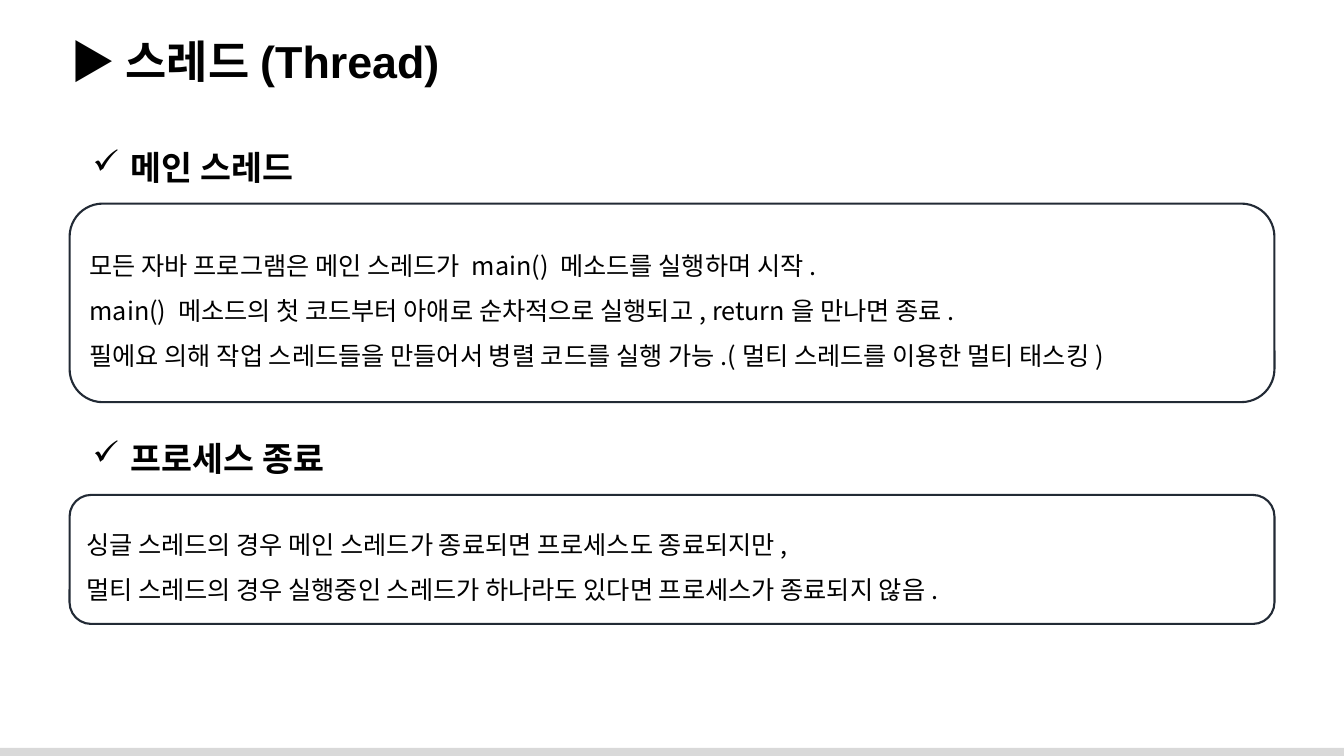
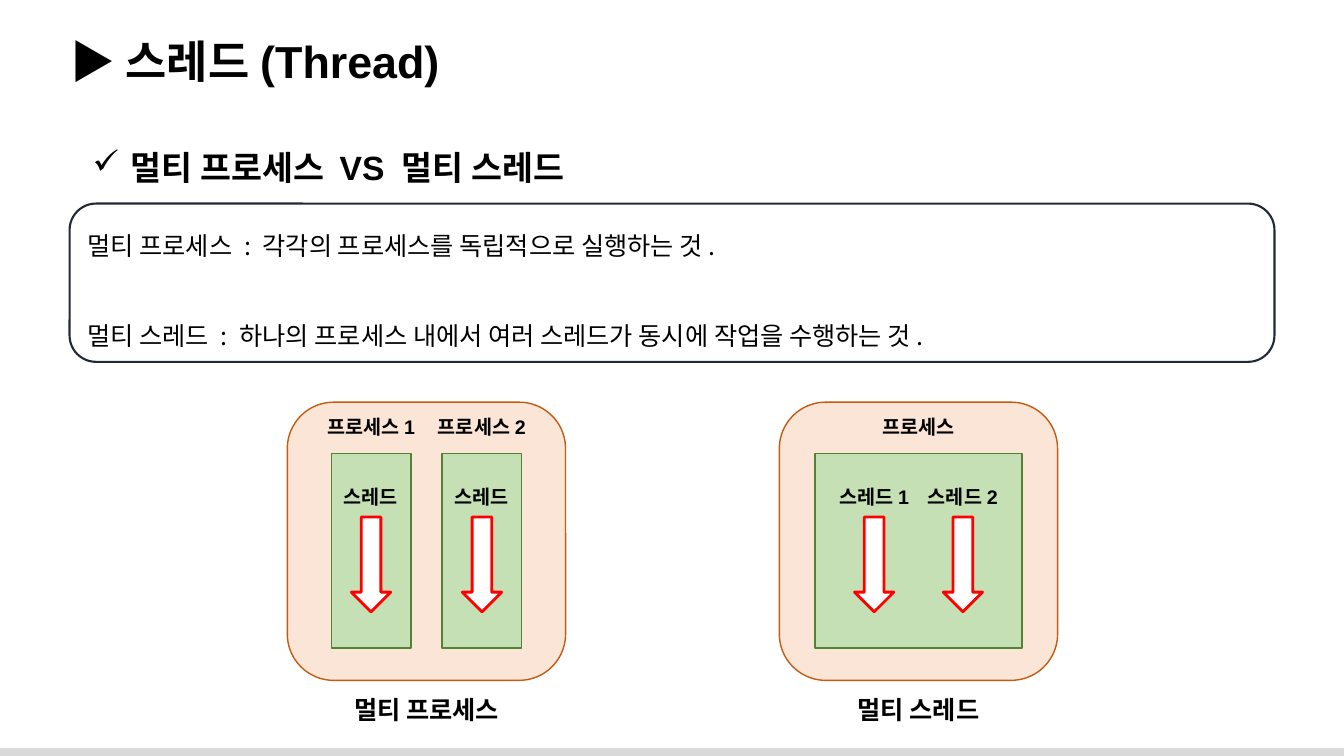
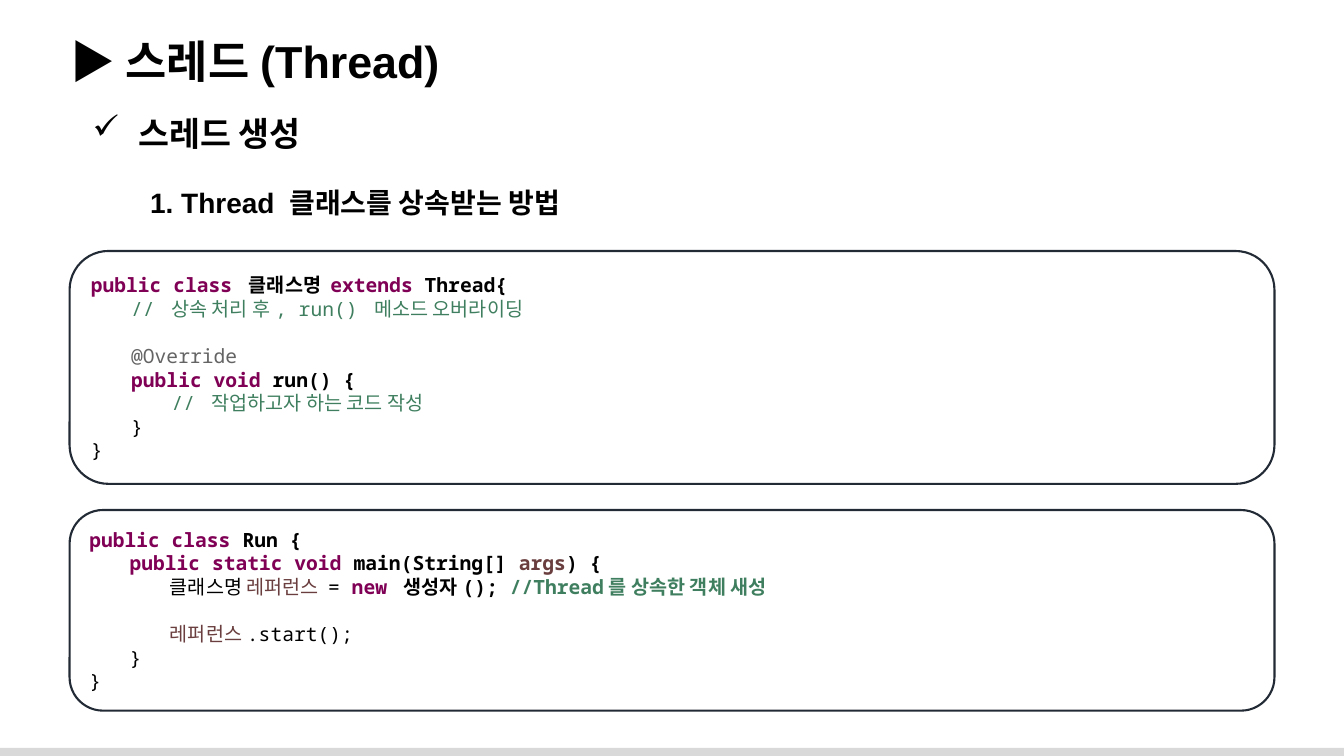
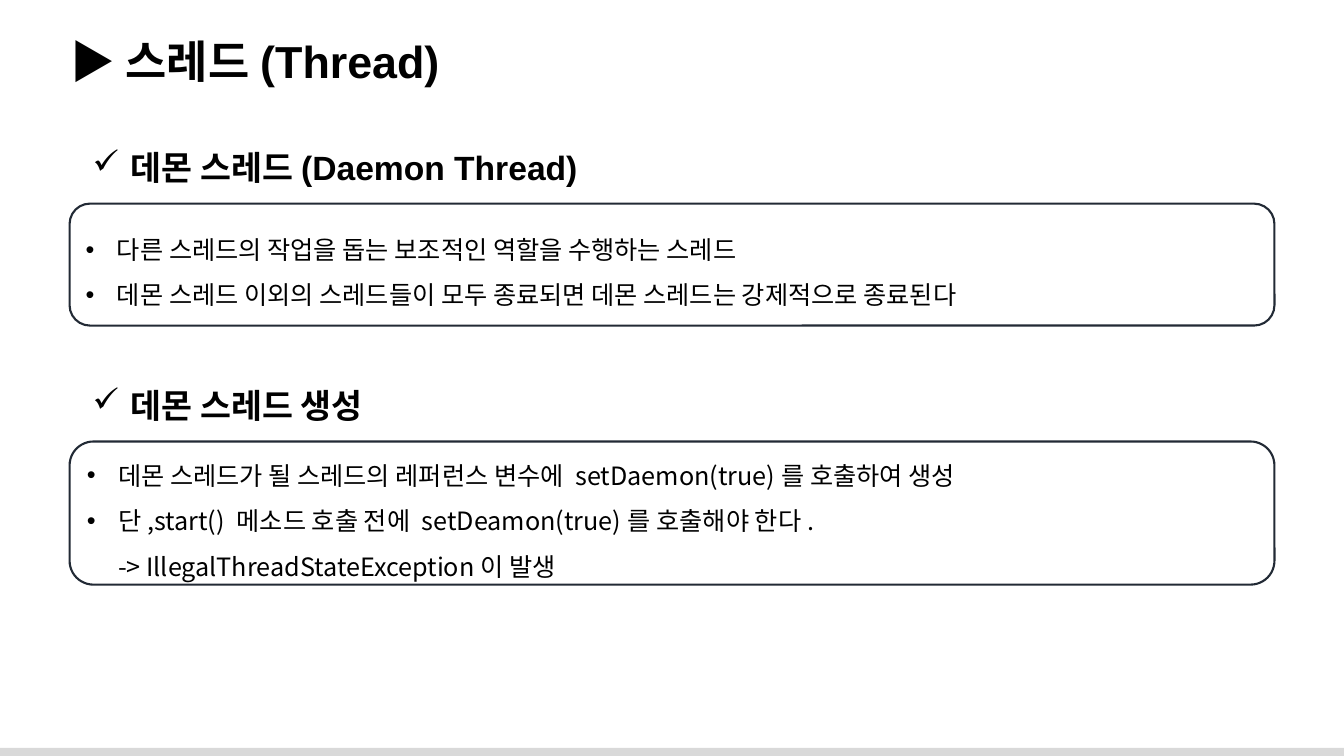
from dataclasses import dataclass
from typing import NamedTuple

from lxml.etree import SubElement
from pptx import Presentation
from pptx.dml.color import RGBColor
from pptx.enum.shapes import MSO_SHAPE
from pptx.enum.text import MSO_ANCHOR, MSO_AUTO_SIZE, PP_ALIGN
from pptx.oxml.ns import qn
from pptx.presentation import Presentation as Deck
from pptx.shapes.autoshape import Shape
from pptx.slide import Slide
from pptx.text.text import TextFrame, _Paragraph as Paragraph
from pptx.util import Emu, Inches, Pt

BLACK = RGBColor(0x00, 0x00, 0x00)
WHITE = RGBColor(0xFF, 0xFF, 0xFF)
BAND_GREY = RGBColor(0xD9, 0xD9, 0xD9)
PANEL_LINE = RGBColor(0x22, 0x2A, 0x35)
FRAME_FILL = RGBColor(0xFB, 0xE5, 0xD6)
FRAME_LINE = RGBColor(0xC5, 0x5A, 0x11)
PROCESS_FILL = RGBColor(0xC5, 0xE0, 0xB4)
PROCESS_LINE = RGBColor(0x54, 0x82, 0x35)
ARROW_RED = RGBColor(0xFF, 0x00, 0x00)
KEYWORD = RGBColor(0x7F, 0x00, 0x55)
COMMENT = RGBColor(0x3F, 0x7F, 0x5F)
ANNOTATION = RGBColor(0x64, 0x64, 0x64)
VARIABLE = RGBColor(0x6A, 0x3E, 0x3E)

HEAD_FONT = "Arial"
KOREAN_FONT = "Noto Sans CJK KR"
CODE_FONT = "Noto Sans Mono"

# The grid: square cells, ten to the inch
CELL = Inches(0.1)
COLUMNS, ROWS = 133.3, 75
PANEL_LEFT, PANEL_WIDTH = 6.9, 119.5
HEADING_LEFT, HEADING_RISE = 8.2, 6.1
CODE_INDENT = 4
# Share of a panel's height that its round corners take from the text
CORNER_INSET = 0.05

TITLE = "▶ 스레드(Thread)"
TITLE_ONLY, ONE_BODY, TWO_BODIES = 5, 1, 3


class Box(NamedTuple):
    """A place on the grid, in cells."""
    left: float
    top: float
    width: float
    height: float

    def emu(self) -> list[Emu]:
        return [Emu(round(cells * CELL)) for cells in self]


@dataclass
class Section:
    heading: str
    top: float
    height: float
    lines: list[str]
    bullet: str = ""
    gap: int = 0


class Token(NamedTuple):
    text: str
    colour: RGBColor = BLACK
    bold: bool = True


class CodeLine(NamedTuple):
    depth: int
    tokens: list[Token]
    gap: int = 0


@dataclass
class Process:
    label: str
    offset: float
    width: float
    threads: dict[str, float]


@dataclass
class Model:
    caption: str
    centre: float
    processes: list[Process]


def style(paragraph: Paragraph, size: float, name: str = HEAD_FONT,
          bold: bool | None = True) -> None:
    font = paragraph.font
    font.size, font.bold = Pt(size), bold
    font.color.rgb = BLACK
    font.name = name
    defaults = paragraph._p.pPr.find(qn("a:defRPr"))
    SubElement(defaults, qn("a:ea")).set("typeface", KOREAN_FONT)


def set_indent(paragraph: Paragraph, margin: float, bullet: str = "") -> None:
    """Indent by cells; a bullet hangs in the margin."""
    properties = paragraph._p.get_or_add_pPr()
    width = round(margin * CELL)
    properties.set("marL", str(width))
    properties.set("indent", str(-width if bullet else 0))
    if bullet:
        SubElement(properties, qn("a:buChar")).set("char", bullet)
    else:
        SubElement(properties, qn("a:buNone"))


def add_figure(slide: Slide, kind: MSO_SHAPE, box: Box, fill: RGBColor | None,
               line: RGBColor | None, weight: float = 1) -> Shape:
    figure = slide.shapes.add_shape(kind, *box.emu())
    figure.shadow.inherit = False
    if fill is None:
        figure.fill.background()
    else:
        figure.fill.solid()
        figure.fill.fore_color.rgb = fill
    if line is None:
        figure.line.fill.background()
    else:
        figure.line.color.rgb = line
        figure.line.width = Pt(weight)
    return figure


def add_panel(slide: Slide, top: float, height: float) -> Shape:
    box = Box(PANEL_LEFT, top, PANEL_WIDTH, height)
    return add_figure(slide, MSO_SHAPE.ROUNDED_RECTANGLE, box, None, PANEL_LINE, 1.5)


def add_text(slide: Slide, text: str, box: Box, size: float) -> Paragraph:
    frame = slide.shapes.add_textbox(*box.emu()).text_frame
    frame.word_wrap = True
    paragraph = frame.paragraphs[0]
    paragraph.text = text
    style(paragraph, size)
    return paragraph


def add_label(slide: Slide, text: str, centre: float, top: float, size: float) -> None:
    width = 20
    box = Box(centre - width / 2, top, width, 3.4)
    add_text(slide, text, box, size).alignment = PP_ALIGN.CENTER


def add_heading(slide: Slide, text: str, top: float) -> None:
    paragraph = add_text(slide, text, Box(HEADING_LEFT, top, 80, 5), 24)
    set_indent(paragraph, 3.8, "✓")
    # bullets must precede the paragraph's default font
    properties = paragraph._p.pPr
    properties.append(properties.find(qn("a:defRPr")))


def add_slide(deck: Deck, layout: int) -> Slide:
    slide = deck.slides.add_slide(deck.slide_layouts[layout])
    title = slide.shapes.title
    title.left, title.top, title.width, title.height = Box(6, 2.8, 126, 6.4).emu()
    frame = title.text_frame
    frame.text = TITLE
    frame.vertical_anchor = MSO_ANCHOR.TOP
    frame.auto_size = MSO_AUTO_SIZE.NONE
    frame.paragraphs[0].alignment = PP_ALIGN.LEFT
    style(frame.paragraphs[0], 32)
    return slide


def add_band(deck: Deck, slide: Slide) -> None:
    """Draw the foot band and move it to the master, where all slides share it."""
    band = add_figure(slide, MSO_SHAPE.RECTANGLE,
                      Box(-0.3, ROWS - 0.8, COLUMNS + 0.6, 1.1), BAND_GREY, None)
    deck.slide_master.shapes.element.append(band.element)


def fill_body(frame: TextFrame, section: Section) -> None:
    frame.vertical_anchor = MSO_ANCHOR.MIDDLE
    frame.auto_size = MSO_AUTO_SIZE.NONE
    frame.text = "\n".join(section.lines).replace("|", "\v")
    for index, paragraph in enumerate(frame.paragraphs):
        set_indent(paragraph, 3.1 if section.bullet else 0, section.bullet)
        paragraph.line_spacing = 1.5
        paragraph.space_before = Pt(section.gap if index else 0)
        style(paragraph, 18, KOREAN_FONT, None)


def add_sections(deck: Deck, layout: int, sections: list[Section]) -> Slide:
    slide = add_slide(deck, layout)
    bodies = [holder for holder in slide.placeholders if holder.placeholder_format.idx]
    for body, section in zip(bodies, sections):
        add_heading(slide, section.heading, section.top - HEADING_RISE)
        add_panel(slide, section.top, section.height)
        inset = section.height * CORNER_INSET
        body.left, body.top, body.width, body.height = Box(
            PANEL_LEFT + inset, section.top + inset,
            PANEL_WIDTH - 2 * inset, section.height - 2 * inset).emu()
        fill_body(body.text_frame, section)
    return slide


def add_model(slide: Slide, model: Model) -> None:
    side = 27.6
    add_figure(slide, MSO_SHAPE.ROUNDED_RECTANGLE,
               Box(model.centre - side / 2, 39.9, side, side), FRAME_FILL, FRAME_LINE)
    for process in model.processes:
        centre = model.centre + process.offset
        add_figure(slide, MSO_SHAPE.RECTANGLE,
                   Box(centre - process.width / 2, 45, process.width, 19.3),
                   PROCESS_FILL, PROCESS_LINE)
        add_label(slide, process.label, centre, 40.7, 14)
        for thread, offset in process.threads.items():
            add_figure(slide, MSO_SHAPE.DOWN_ARROW,
                       Box(centre + offset - 1.95, 51.3, 3.9, 9.4), WHITE, ARROW_RED, 2)
            add_label(slide, thread, centre + offset, 47.6, 14)
    add_label(slide, model.caption, model.centre, 68.4, 18)


def add_code(slide: Slide, top: float, height: float, lines: list[CodeLine]) -> None:
    frame = add_panel(slide, top, height).text_frame
    frame.vertical_anchor = MSO_ANCHOR.MIDDLE
    for index, line in enumerate(lines):
        paragraph = frame.add_paragraph() if index else frame.paragraphs[0]
        paragraph.alignment = PP_ALIGN.LEFT
        set_indent(paragraph, line.depth * CODE_INDENT)
        paragraph.space_before = Pt(line.gap)
        style(paragraph, 14, CODE_FONT, None)
        for token in line.tokens:
            run = paragraph.add_run()
            run.text = token.text
            run.font.bold = token.bold
            run.font.color.rgb = token.colour


MAIN_THREAD = [
    Section("메인 스레드", 20.2, 19.7, [
        "모든 자바 프로그램은 메인 스레드가 main() 메소드를 실행하며 시작.",
        "main() 메소드의 첫 코드부터 아애로 순차적으로 실행되고, return을 만나면 종료.",
        "필에요 의해 작업 스레드들을 만들어서 병렬 코드를 실행 가능.(멀티 스레드를 이용한 멀티 태스킹)",
    ]),
    Section("프로세스 종료", 49.1, 12.8, [
        "싱글 스레드의 경우 메인 스레드가 종료되면 프로세스도 종료되지만,",
        "멀티 스레드의 경우 실행중인 스레드가 하나라도 있다면 프로세스가 종료되지 않음.",
    ]),
]
COMPARISON = [
    Section("멀티 프로세스 VS 멀티 스레드", 20.2, 15.7, [
        "멀티 프로세스 : 각각의 프로세스를 독립적으로 실행하는 것.",
        "멀티 스레드 : 하나의 프로세스 내에서 여러 스레드가 동시에 작업을 수행하는 것.",
    ], gap=32),
]
MODELS = [
    Model("멀티 프로세스", 42.3, [
        Process("프로세스1", -5.5, 7.9, {"스레드": 0}),
        Process("프로세스2", 5.5, 7.9, {"스레드": 0}),
    ]),
    Model("멀티 스레드", 91.1, [
        Process("프로세스", 0, 20.5, {"스레드1": -4.4, "스레드2": 4.4}),
    ]),
]
THREAD_CLASS = [
    CodeLine(0, [Token("public class ", KEYWORD), Token("클래스명 "),
                 Token("extends", KEYWORD), Token(" Thread{")]),
    CodeLine(1, [Token("// 상속 처리 후, run() 메소드 오버라이딩", COMMENT, False)]),
    CodeLine(1, [Token("@Override", ANNOTATION, False)], gap=17),
    CodeLine(1, [Token("public void", KEYWORD), Token(" run() {")]),
    CodeLine(2, [Token("// 작업하고자 하는 코드 작성", COMMENT, False)]),
    CodeLine(1, [Token("}", bold=False)]),
    CodeLine(0, [Token("}", bold=False)]),
]
RUN_CLASS = [
    CodeLine(0, [Token("public class", KEYWORD), Token(" Run {")]),
    CodeLine(1, [Token("public static void", KEYWORD), Token(" main(String[] "),
                 Token("args", VARIABLE), Token(") {")]),
    CodeLine(2, [Token("클래스명 ", bold=False), Token("레퍼런스 ", VARIABLE, False),
                 Token("= ", bold=False), Token("new ", KEYWORD), Token("생성자(); "),
                 Token("//Thread를 상속한 객체 새성", COMMENT)]),
    CodeLine(2, [Token("레퍼런스", VARIABLE, False), Token(".start();", bold=False)], gap=17),
    CodeLine(1, [Token("}", bold=False)]),
    CodeLine(0, [Token("}", bold=False)]),
]
DAEMON_THREAD = [
    Section("데몬 스레드(Daemon Thread)", 20.2, 12.1, [
        "다른 스레드의 작업을 돕는 보조적인 역할을 수행하는 스레드",
        "데몬 스레드 이외의 스레드들이 모두 종료되면 데몬 스레드는 강제적으로 종료된다",
    ], bullet="•"),
    Section("데몬 스레드 생성", 43.8, 14.2, [
        "데몬 스레드가 될 스레드의 레퍼런스 변수에 setDaemon(true)를 호출하여 생성",
        "단,start() 메소드 호출 전에 setDeamon(true)를 호출해야 한다.|"
        "-> IllegalThreadStateException이 발생",
    ], bullet="•"),
]


def main() -> None:
    deck = Presentation()
    deck.slide_width, deck.slide_height = Box(0, 0, COLUMNS, ROWS).emu()[2:]

    main_thread = add_sections(deck, TWO_BODIES, MAIN_THREAD)
    add_band(deck, main_thread)

    comparison = add_sections(deck, ONE_BODY, COMPARISON)
    for model in MODELS:
        add_model(comparison, model)

    creation = add_slide(deck, TITLE_ONLY)
    add_heading(creation, " 스레드 생성", 10.7)
    add_text(creation, "1. Thread 클래스를 상속받는 방법", Box(13.9, 17.9, 80, 4.4), 20)
    add_code(creation, 24.9, 23.1, THREAD_CLASS)
    add_code(creation, 50.6, 19.9, RUN_CLASS)

    add_sections(deck, TWO_BODIES, DAEMON_THREAD)
    deck.save("out.pptx")


if __name__ == "__main__":
    main()
